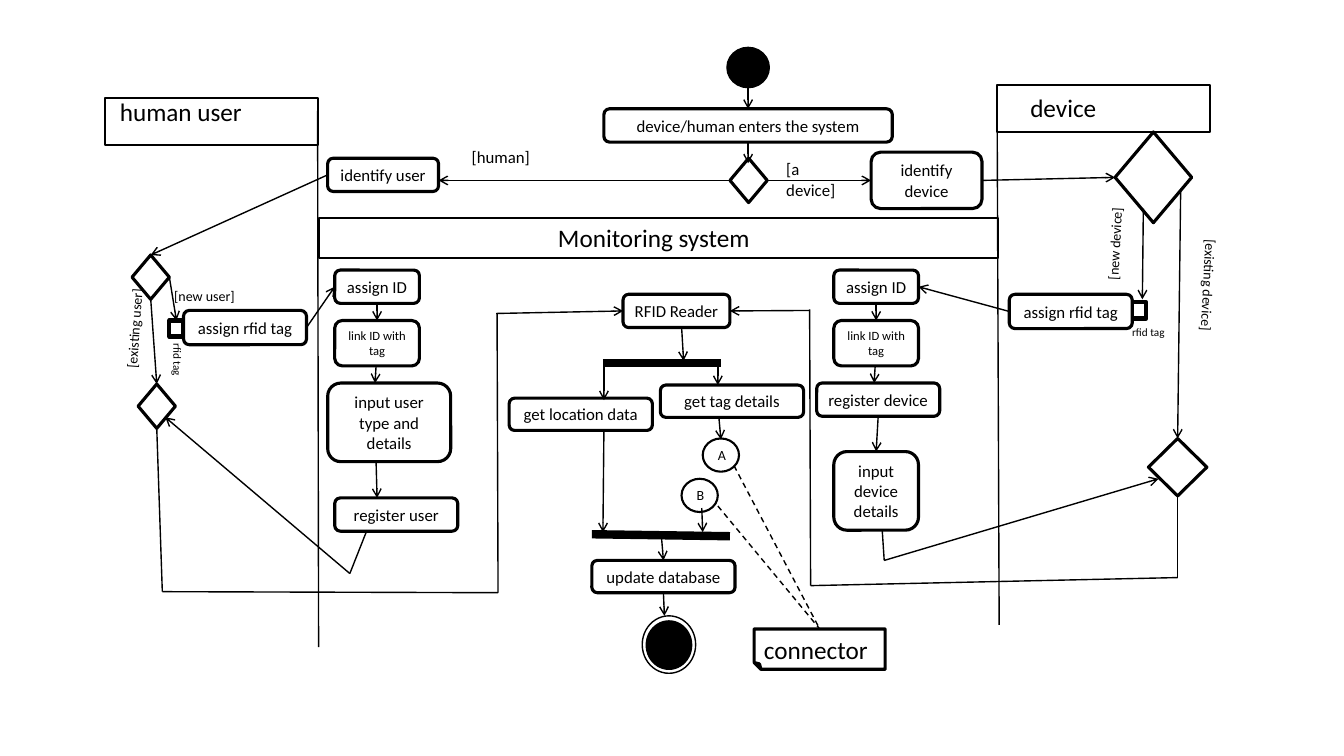
from lxml.etree import SubElement
from pptx import Presentation
from pptx.dml.color import RGBColor
from pptx.enum.dml import MSO_LINE
from pptx.enum.shapes import MSO_CONNECTOR, MSO_SHAPE
from pptx.enum.text import MSO_ANCHOR, MSO_AUTO_SIZE, PP_ALIGN
from pptx.oxml.ns import qn
from pptx.util import Pt

PX = 9144
TOP, LEFT, BOTTOM, RIGHT = range(4)
BLACK, WHITE = "000000", "FFFFFF"


def px(*lengths):
    return [length * PX for length in lengths]


def colour(value):
    return RGBColor.from_string(value)


class ActivityDiagram:
    """Draws the elements of an activity diagram on one slide."""

    font = "Calibri"

    def __init__(self, page):
        self.page = page

    def set_text(self, box, text, size, align=PP_ALIGN.LEFT, anchor=MSO_ANCHOR.TOP):
        frame = box.text_frame
        frame.word_wrap = True
        frame.auto_size = MSO_AUTO_SIZE.NONE
        frame.vertical_anchor = anchor
        frame.text = text
        para = frame.paragraphs[0]
        para.alignment = align
        para.font.name = self.font
        para.font.size = Pt(size)
        para.font.color.rgb = colour(BLACK)

    def title(self, text, *place):
        box = self.page.shapes.title
        box.left, box.top, box.width, box.height = px(*place)
        self.set_text(box, text, 18, PP_ALIGN.CENTER)

    def label(self, text, size, *place, turn=0):
        box = self.page.shapes.add_textbox(*px(*place))
        box.rotation = turn
        self.set_text(box, text, size)

    def shape(self, kind, *place, fill=None, weight=2.25):
        box = self.page.shapes.add_shape(kind, *px(*place))
        box.shadow.inherit = False
        if fill:
            box.fill.solid()
            box.fill.fore_color.rgb = colour(fill)
        else:
            box.fill.background()
        box.line.color.rgb = colour(BLACK)
        box.line.width = Pt(weight)
        return box

    def action(self, text, *place, size=12):
        box = self.shape(MSO_SHAPE.ROUNDED_RECTANGLE, *place, fill=WHITE)
        self.set_text(box, text, size, PP_ALIGN.CENTER, MSO_ANCHOR.MIDDLE)
        return box

    def decision(self, left, top, width=37, height=44):
        return self.shape(MSO_SHAPE.DIAMOND, left, top, width, height)

    def token(self, left, top):
        return self.shape(MSO_SHAPE.RECTANGLE, left, top, 14, 16, weight=3)

    def lane_header(self, *place):
        self.shape(MSO_SHAPE.RECTANGLE, *place, weight=1.5)

    def circle(self, *place, fill=None, weight=1):
        return self.shape(MSO_SHAPE.OVAL, *place, fill=fill, weight=weight)

    def reference(self, letter, left, top):
        box = self.circle(left, top, 36, 33, weight=1.5)
        self.set_text(box, letter, 10, PP_ALIGN.CENTER, MSO_ANCHOR.MIDDLE)

    def folded_note(self, text, *place):
        box = self.shape(MSO_SHAPE.FOLDED_CORNER, *place)
        box._element.spPr.find(qn("a:xfrm")).set("flipH", "1")
        self.set_text(box, text, 18)
        return box

    def line(self, start, end, arrow=False, weight=1, dashed=False):
        joins = [not isinstance(point[0], int) for point in (start, end)]
        ends = [(0, 0) if joined else px(*point) for joined, point in zip(joins, (start, end))]
        wire = self.page.shapes.add_connector(MSO_CONNECTOR.STRAIGHT, *ends[0], *ends[1])
        if joins[0]:
            wire.begin_connect(*start)
        if joins[1]:
            wire.end_connect(*end)
        wire.line.color.rgb = colour(BLACK)
        wire.line.width = Pt(weight)
        if dashed:
            wire.line.dash_style = MSO_LINE.DASH
        if arrow:
            SubElement(wire.line._get_or_add_ln(), qn("a:tailEnd"), type="arrow")
        SubElement(wire._element.spPr, qn("a:effectLst"))

    def arrow(self, start, end):
        self.line(start, end, arrow=True)

    def route(self, *points):
        for start, end in zip(points, points[1:]):
            self.line(start, end)


def main():
    deck = Presentation()
    deck.slide_width, deck.slide_height = px(1333, 750)
    diagram = ActivityDiagram(deck.slides.add_slide(deck.slide_layouts[5]))

    diagram.title("Monitoring system", 500, 216, 297, 40)
    for header in ((104, 97, 211, 47), (989, 84, 211, 47), (316, 216, 674, 40)):
        diagram.lane_header(*header)
    diagram.line((316, 642), (315, 110))
    diagram.line((991, 620), (989, 110))

    diagram.circle(721, 47, 42, 40, fill=BLACK)
    enter = diagram.action("device/human enters the system", 599, 108, 286, 33)
    kind_choice = diagram.decision(724, 157)
    identify_user = diagram.action("identify user", 325, 157, 110, 33)
    identify_device = diagram.action("identify device", 864, 151, 110, 56)

    user_choice = diagram.decision(131, 253)
    user_merge = diagram.decision(137, 381)
    user_token = diagram.token(168, 318)
    user_tag = diagram.action("assign rfid tag", 182, 308, 122, 34)
    diagram.action("input user type and details", 325, 380, 122, 78)
    diagram.action("register user", 332, 494, 122, 33)

    device_choice = diagram.decision(1106, 131, 76, 90)
    device_merge = diagram.decision(1139, 435, 58, 57)
    diagram.token(1123, 300)
    device_tag = diagram.action("assign rfid tag", 1001, 292, 122, 34)
    register_device = diagram.action("register device", 810, 380, 122, 33)
    device_details = diagram.action("input device details", 827, 448, 84, 78)

    reader = diagram.action("RFID Reader", 618, 292, 106, 33)
    diagram.action("get location data", 505, 395, 142, 32)
    diagram.action("get tag details", 655, 382, 142, 32)
    update = diagram.action("update database", 587, 556, 142, 32)
    diagram.reference("A", 697, 435)
    diagram.reference("B", 676, 475)
    diagram.circle(637, 611, 53, 57, fill=WHITE)
    diagram.circle(641, 616, 45, 48, fill=BLACK)
    note = diagram.folded_note("connector", 748, 624, 130, 40)

    for left, tag_end in ((332, (user_tag, RIGHT)), (827, (device_tag, LEFT))):
        assign = diagram.action("assign ID", left, 268, 84, 33)
        link = diagram.action("link ID with tag", left, 318, 84, 45, size=9)
        diagram.arrow((assign, BOTTOM), (link, TOP))
        diagram.arrow((left + 41, 363), (left + 40, 380))
        diagram.arrow(tag_end, (assign, LEFT if tag_end[1] == RIGHT else RIGHT))

    arrows = [
        ((742, 87), (enter, TOP)),
        ((enter, BOTTOM), (742, 162)),
        ((kind_choice, LEFT), (435, 179)),
        ((kind_choice, RIGHT), (identify_device, LEFT)),
        ((identify_device, RIGHT), (device_choice, LEFT)),
        ((identify_user, LEFT), (user_choice, TOP)),
        ((user_choice, RIGHT), (user_token, TOP)),
        ((user_choice, BOTTOM), (user_merge, TOP)),
        ((373, 458), (374, 494)),
        ((347, 569), (164, 414)),
        ((1134, 207), (1133, 297)),
        ((1171, 190), (device_merge, TOP)),
        ((register_device, BOTTOM), (device_details, TOP)),
        ((877, 556), (1149, 475)),
        ((492, 311), (reader, LEFT)),
        ((803, 308), (reader, RIGHT)),
        ((676, 324), (678, 358)),
        ((599, 358), (599, 397)),
        ((712, 363), (712, 382)),
        ((713, 414), (715, 436)),
        ((599, 426), (598, 528)),
        ((696, 504), (697, 528)),
        ((656, 532), (update, TOP)),
        ((update, BOTTOM), (659, 611)),
    ]
    for start, end in arrows:
        diagram.arrow(start, end)

    diagram.route((364, 526), (347, 569))
    diagram.route((875, 526), (877, 556))
    diagram.route((user_merge, BOTTOM), (161, 587), (494, 588), (493, 311))
    diagram.route((device_merge, BOTTOM), (1168, 573), (804, 581), (803, 307))
    diagram.line((598, 360), (715, 360), weight=6)
    diagram.line((587, 530), (724, 532), weight=6)
    for start in ((728, 462), (712, 502)):
        diagram.line(start, (note, TOP), dashed=True)

    diagram.label("human user", 18, 109, 91, 171, 40)
    diagram.label("device", 18, 1012, 87, 171, 40)
    diagram.label("[human]", 12, 458, 141, 84, 52)
    diagram.label("[a device]", 12, 770, 153, 84, 52)
    diagram.label("[new user]", 10, 163, 280, 86, 27)
    diagram.label("[existing user]", 10, 84, 312, 99, 27, turn=274)
    diagram.label("[new device]", 10, 1059, 227, 94, 27, turn=273)
    diagram.label("[existing device]", 10, 1142, 271, 113, 27, turn=93)
    diagram.label("rfid tag", 8, 144, 351, 64, 24, turn=90)
    diagram.label("rfid tag", 8, 1113, 318, 64, 24)

    deck.save("out.pptx")


if __name__ == "__main__":
    main()
